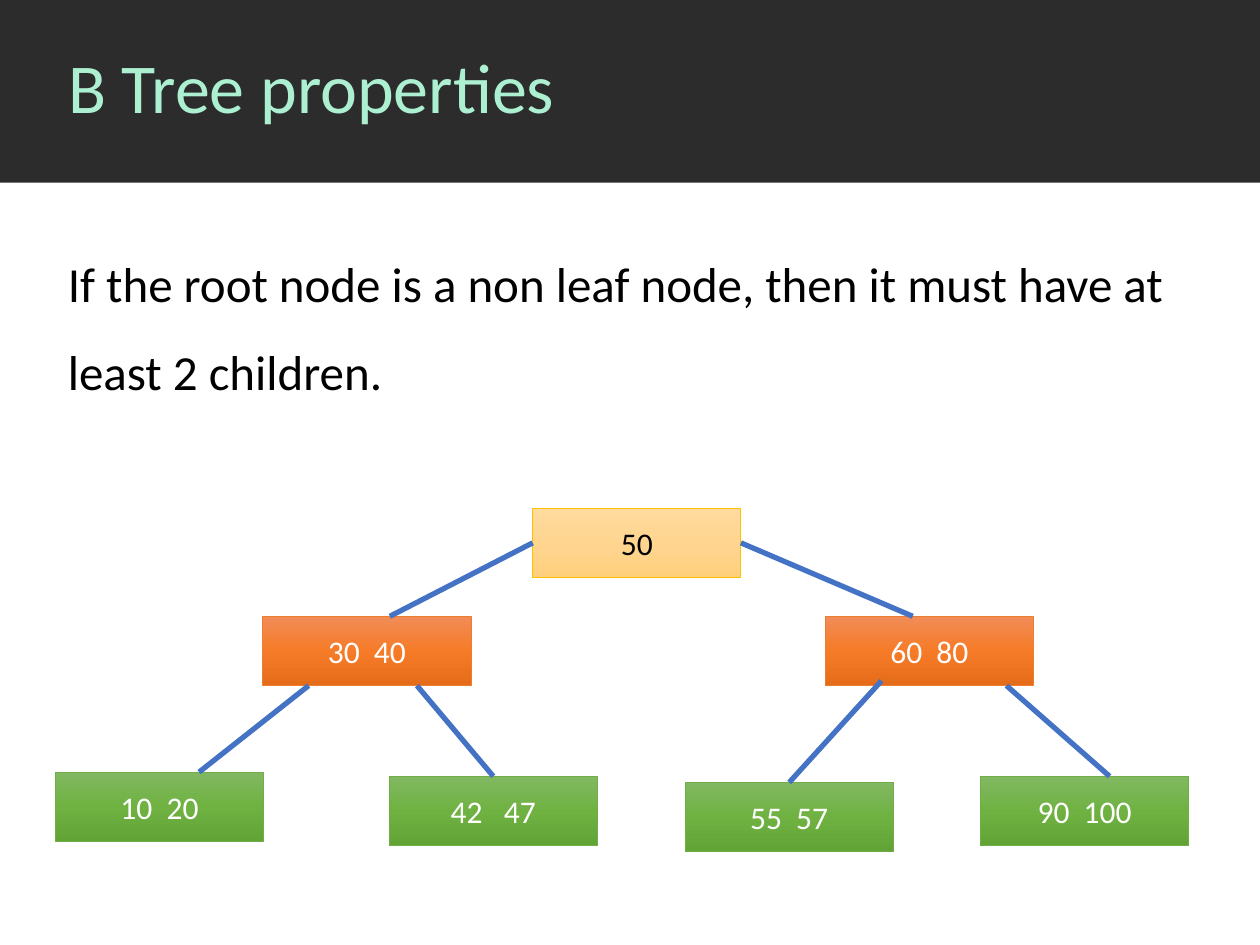
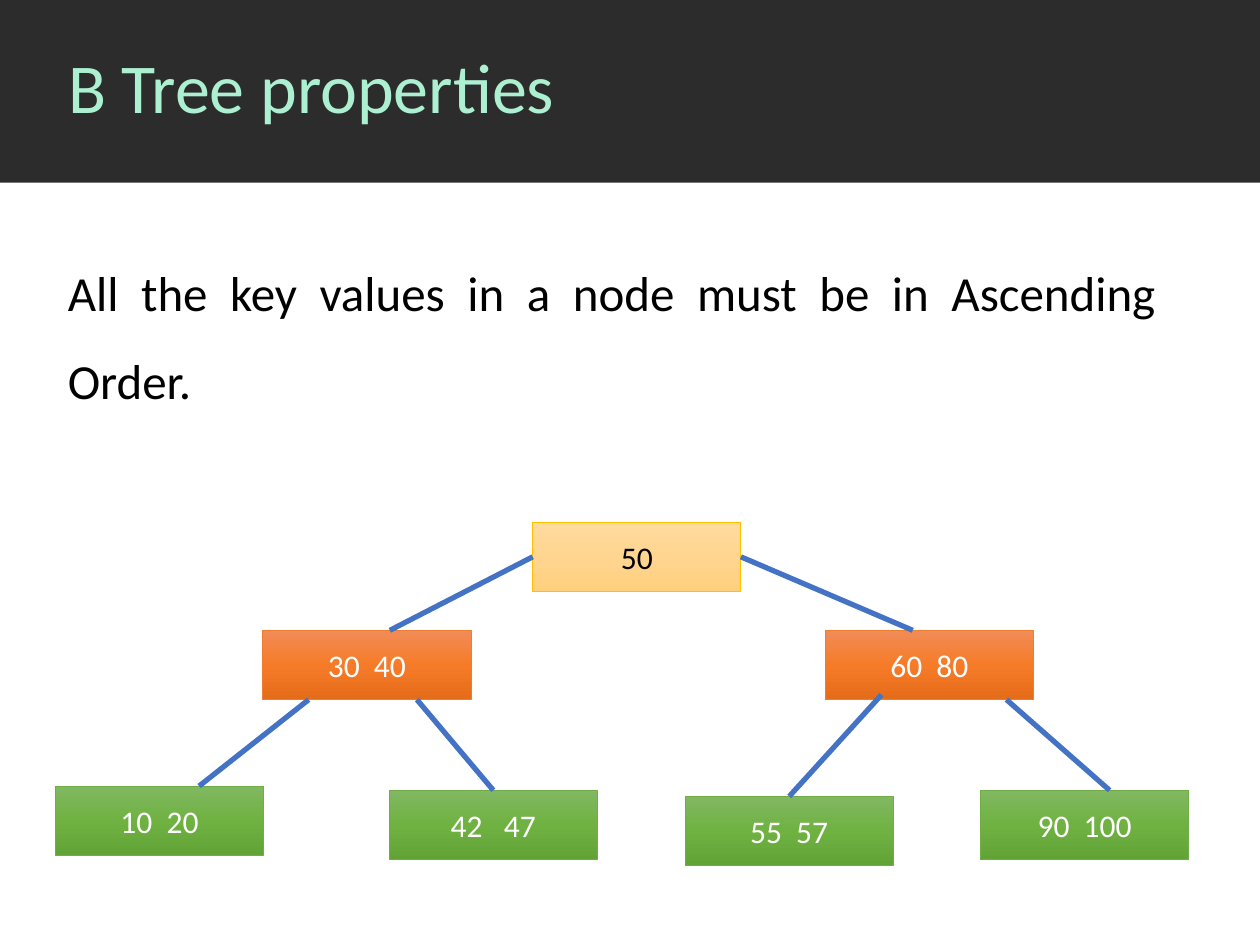
from copy import deepcopy
from dataclasses import dataclass

from lxml import etree
from pptx import Presentation
from pptx.dml.color import RGBColor
from pptx.enum import shapes, text
from pptx.oxml.ns import qn
from pptx.util import Pt

FONT = "Calibri"
COLORS = {
    "band": "2C2C2C",
    "title": "ADF0D1",
    "ink": "000000",
    "light": "FFFFFF",
    "branch": "4472C4",
}
SLIDE_W, SLIDE_H = 720, 540
MARGIN = 31.7
BAND_H = 104.4
NODE_W, NODE_H = 119, 39.6


@dataclass(frozen=True)
class Level:
    gradient: tuple[str, str, str]
    outline: str
    label: str


ROOT = Level(("FFDB9E", "FFD590", "FFD07C"), "FFC000", "ink")
INNER = Level(("F18C57", "F67B28", "E56C19"), "ED7D31", "light")
LEAF = Level(("81B861", "6FB242", "62A336"), "70AD47", "light")


@dataclass(frozen=True)
class Node:
    """A tree node; departure is a fraction of the parent box, arrival of its own top edge."""
    keys: str
    level: Level
    left: float
    top: float
    parent: "Node | None" = None
    departure: tuple[float, float] = (0.5, 1)
    arrival: float = 0.5


@dataclass(frozen=True)
class Property:
    statement: str
    top: float
    width: float
    align: text.PP_ALIGN
    tree_shift: float


root = Node("50", ROOT, 304.4, 290.4)
low = Node("30  40", INNER, 150.2, 352.2, root, (0, 0.5), 0.61)
high = Node("60  80", INNER, 471.6, 352.2, root, (1, 0.5), 0.42)
TREE = (
    root, low, high,
    Node("10  20", LEAF, MARGIN, 441.2, low, (0.22, 1), 0.69),
    Node("42   47", LEAF, 222.4, 443.6, low, (0.74, 1)),
    Node("55  57", LEAF, 391.5, 447.1, high, (0.27, 0.93)),
    Node("90  100", LEAF, 560.3, 443.6, high, (0.87, 1), 0.62),
)
PROPERTIES = (
    Property("If the root node is a non leaf node, then it must have at least 2 children.",
             124.6, 647.3, text.PP_ALIGN.LEFT, 0),
    Property("All the key values in a node must be in Ascending Order.",
             129.6, 635.8, text.PP_ALIGN.JUSTIFY, 8),
)


def rgb(color: str) -> RGBColor:
    return RGBColor.from_string(COLORS.get(color, color))


def write(frame, words: str, size: float, color: str, align, spacing: float = 1) -> None:
    frame.word_wrap = True
    paragraph = frame.paragraphs[0]
    paragraph.text = words
    paragraph.alignment = align
    paragraph.line_spacing = spacing
    paragraph.font.name = FONT
    paragraph.font.size = Pt(size)
    paragraph.font.color.rgb = rgb(color)


def add_band(slide) -> None:
    """Place the header band in the slide's layout, behind every title."""
    band = slide.shapes.add_shape(shapes.MSO_SHAPE.RECTANGLE, 0, 0, Pt(SLIDE_W), Pt(BAND_H))
    band.shadow.inherit = False
    band.fill.solid()
    band.fill.fore_color.rgb = rgb("band")
    band.line.fill.background()
    slide.slide_layout.shapes.element.insert(2, band.element)


def add_title(slide, words: str) -> None:
    title = slide.shapes.title
    title.left, title.top = Pt(MARGIN), 0
    title.width, title.height = Pt(SLIDE_W - MARGIN), Pt(BAND_H)
    title.text_frame.vertical_anchor = text.MSO_ANCHOR.MIDDLE
    write(title.text_frame, words, 40, "title", text.PP_ALIGN.LEFT, 0.9)


def fill_gradient(shape, colors: tuple[str, str, str]) -> None:
    """Fill from top to bottom with three evenly spaced colours."""
    shape.fill.gradient()
    shape.fill.gradient_angle = 270
    stop_list = shape.element.spPr.find(qn("a:gradFill")).find(qn("a:gsLst"))
    stop_list.insert(1, deepcopy(stop_list[0]))
    for index, (stop, color) in enumerate(zip(shape.fill.gradient_stops, colors)):
        stop.position = index / 2
        stop.color.rgb = rgb(color)


def add_node(slide, node: Node, shift: float) -> None:
    box = slide.shapes.add_shape(shapes.MSO_SHAPE.RECTANGLE, Pt(node.left),
                                 Pt(node.top + shift), Pt(NODE_W), Pt(NODE_H))
    box.shadow.inherit = False
    fill_gradient(box, node.level.gradient)
    box.line.color.rgb = rgb(node.level.outline)
    box.line.width = Pt(0.5)
    box.text_frame.vertical_anchor = text.MSO_ANCHOR.MIDDLE
    write(box.text_frame, node.keys, 18, node.level.label, text.PP_ALIGN.CENTER)


def add_branch(slide, child: Node, shift: float) -> None:
    across, down = child.departure
    branch = slide.shapes.add_connector(
        shapes.MSO_CONNECTOR.STRAIGHT,
        Pt(child.parent.left + across * NODE_W),
        Pt(child.parent.top + down * NODE_H + shift),
        Pt(child.left + child.arrival * NODE_W),
        Pt(child.top + shift),
    )
    branch.line.color.rgb = rgb("branch")
    branch.line.width = Pt(3)
    etree.SubElement(branch.element.spPr, qn("a:effectLst"))


def add_statement(slide, rule: Property) -> None:
    statement = slide.shapes.add_textbox(Pt(MARGIN), Pt(rule.top), Pt(rule.width), Pt(102.2))
    write(statement.text_frame, rule.statement, 28, "ink", rule.align, 1.5)
    statement.text_frame.auto_size = text.MSO_AUTO_SIZE.SHAPE_TO_FIT_TEXT


def main() -> None:
    deck = Presentation()
    deck.slide_width, deck.slide_height = Pt(SLIDE_W), Pt(SLIDE_H)
    title_only = deck.slide_layouts.get_by_name("Title Only")
    for index, rule in enumerate(PROPERTIES):
        slide = deck.slides.add_slide(title_only)
        if index == 0:
            add_band(slide)
        add_title(slide, "B Tree properties")
        for node in TREE:
            add_node(slide, node, rule.tree_shift)
        for node in TREE:
            if node.parent:
                add_branch(slide, node, rule.tree_shift)
        add_statement(slide, rule)
    deck.save("out.pptx")


if __name__ == "__main__":
    main()
